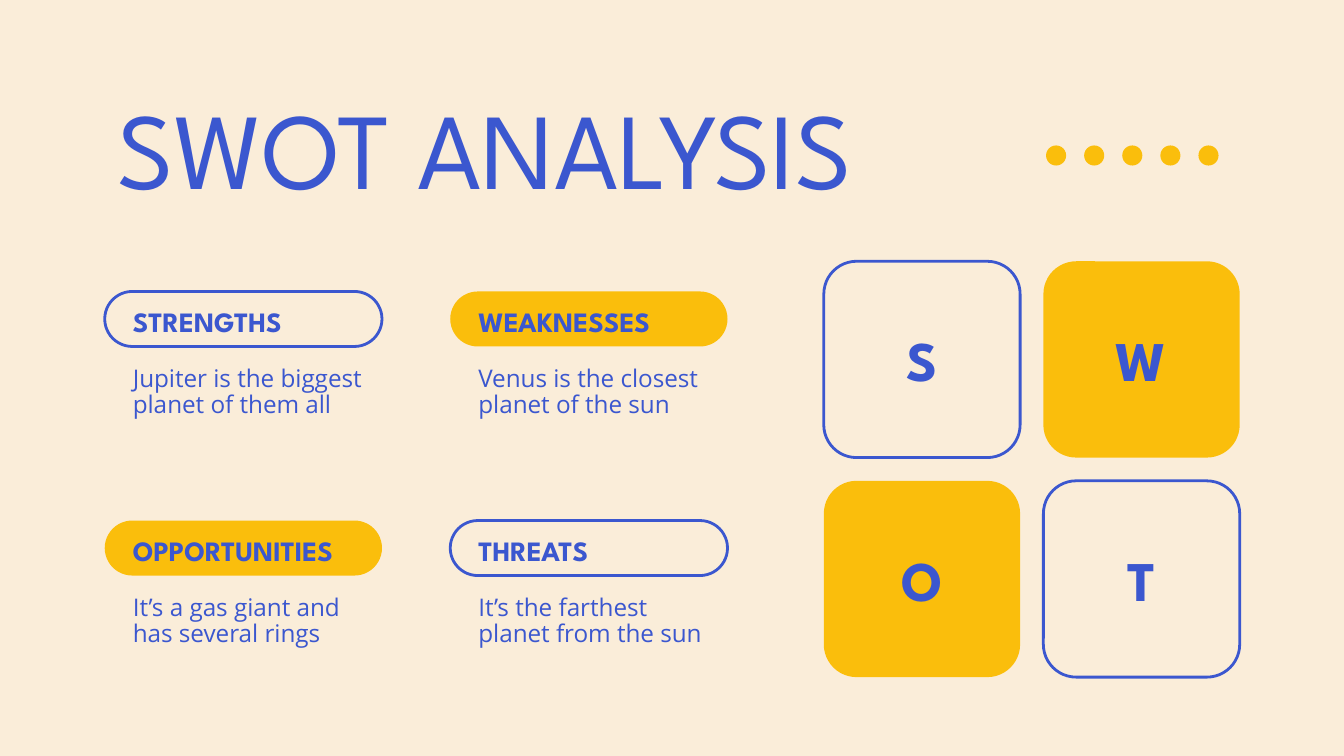
from pptx import Presentation
from pptx.dml.color import RGBColor
from pptx.enum.shapes import MSO_SHAPE
from pptx.enum.text import MSO_ANCHOR, MSO_AUTO_SIZE, PP_ALIGN
from pptx.oxml.xmlchemy import OxmlElement
from pptx.util import Cm, Pt

ROUNDED, OVAL = MSO_SHAPE.ROUNDED_RECTANGLE, MSO_SHAPE.OVAL
TOP, MIDDLE = MSO_ANCHOR.TOP, MSO_ANCHOR.MIDDLE
LEFT, CENTER = PP_ALIGN.LEFT, PP_ALIGN.CENTER
NO_AUTOFIT = MSO_AUTO_SIZE.NONE
COMPARISON_LAYOUT = 4


def color(hex_code):
    return RGBColor.from_string(hex_code)


class SwotSlide:
    BLUE, YELLOW, CREAM = "3B57CF", "FABE0C", "FAEDD9"
    HEADING_FONT, BODY_FONT = "League Spartan", "Open Sans"
    INSET = Cm(0.25)

    def __init__(self, deck):
        self.slide = deck.slides.add_slide(deck.slide_layouts[COMPARISON_LAYOUT])
        background = self.slide.background.fill
        background.solid()
        background.fore_color.rgb = color(self.CREAM)
        self.bodies = [p for p in self.slide.placeholders
                       if p.placeholder_format.idx > 0]

    def set_text(self, holder, text, size, font, bold=False, align=LEFT,
                 anchor=TOP, spacing=1.0):
        frame = holder.text_frame
        frame.word_wrap = True
        frame.auto_size = NO_AUTOFIT
        frame.vertical_anchor = anchor
        frame.margin_left = frame.margin_right = self.INSET
        frame.margin_top = frame.margin_bottom = self.INSET
        paragraph = frame.paragraphs[0]
        properties = paragraph._p.get_or_add_pPr()
        properties.set("marL", "0")
        properties.set("indent", "0")
        properties.append(OxmlElement("a:buNone"))
        paragraph.alignment = align
        paragraph.space_before = Pt(0)
        paragraph.line_spacing = spacing
        run = paragraph.add_run()
        run.text = text
        run.font.size = Pt(size)
        run.font.name = font
        run.font.bold = bold
        run.font.color.rgb = color(self.BLUE)

    def place(self, holder, left, top, width, height):
        holder.left, holder.top = Cm(left), Cm(top)
        holder.width, holder.height = Cm(width), Cm(height)

    def shape(self, kind, left, top, width, height, filled=True, corner=None):
        shape = self.slide.shapes.add_shape(
            kind, Cm(left), Cm(top), Cm(width), Cm(height))
        shape.shadow.inherit = False
        if corner is not None:
            shape.adjustments[0] = corner
        if filled:
            shape.fill.solid()
            shape.fill.fore_color.rgb = color(self.YELLOW)
            shape.line.fill.background()
        else:
            shape.fill.background()
            shape.line.color.rgb = color(self.BLUE)
            shape.line.width = Pt(1.5)
        return shape

    def title(self, text):
        title = self.slide.shapes.title
        self.place(title, 1.98, 0.91, 21.44, 2.69)
        self.set_text(title, text, 58, self.HEADING_FONT, spacing=1.15)

    def card(self, letter, left, top, filled):
        card = self.shape(ROUNDED, left, top, 3.71, 3.71, filled, 0.167)
        self.set_text(card, letter, 30, self.HEADING_FONT, True, CENTER, MIDDLE)

    def topic(self, heading, description, left, top, filled):
        # Pill with its heading
        self.shape(ROUNDED, left, top, 5.24, 1.04, filled, 0.5)
        label = self.slide.shapes.add_textbox(
            Cm(left + 0.28), Cm(top), Cm(4.85), Cm(1.04))
        self.set_text(label, heading, 15, self.HEADING_FONT, True)
        # Description below the pill
        body = self.bodies.pop(0)
        self.place(body, left + 0.28, top + 1.17, 4.85, 1.32)
        self.set_text(body, description, 13, self.BODY_FONT, spacing=0.9)

    def dots(self, count, left, top, pitch):
        for i in range(count):
            self.shape(OVAL, left + i * pitch, top, 0.38, 0.38)


TOPICS = [
    ("STRENGTHS", "Jupiter is the biggest planet of them all"),
    ("WEAKNESSES", "Venus is the closest planet of the sun"),
    ("OPPORTUNITIES", "It’s a gas giant and has several rings"),
    ("THREATS", "It’s the farthest planet from the sun"),
]


def main():
    deck = Presentation()
    deck.slide_width, deck.slide_height = Cm(25.4), Cm(14.29)
    swot = SwotSlide(deck)
    swot.title("SWOT ANALYSIS")
    swot.dots(5, 19.77, 2.75, 0.72)

    # Two-by-two grids of topics and letter cards, filled in a checkerboard
    for i, (heading, description) in enumerate(TOPICS):
        row, column = divmod(i, 2)
        filled = row != column
        swot.topic(heading, description,
                   1.98 + column * 6.53, 5.51 + row * 4.33, filled)
        swot.card(heading[0], 15.57 + column * 4.15, 4.94 + row * 4.15, filled)

    deck.save("out.pptx")


if __name__ == "__main__":
    main()
